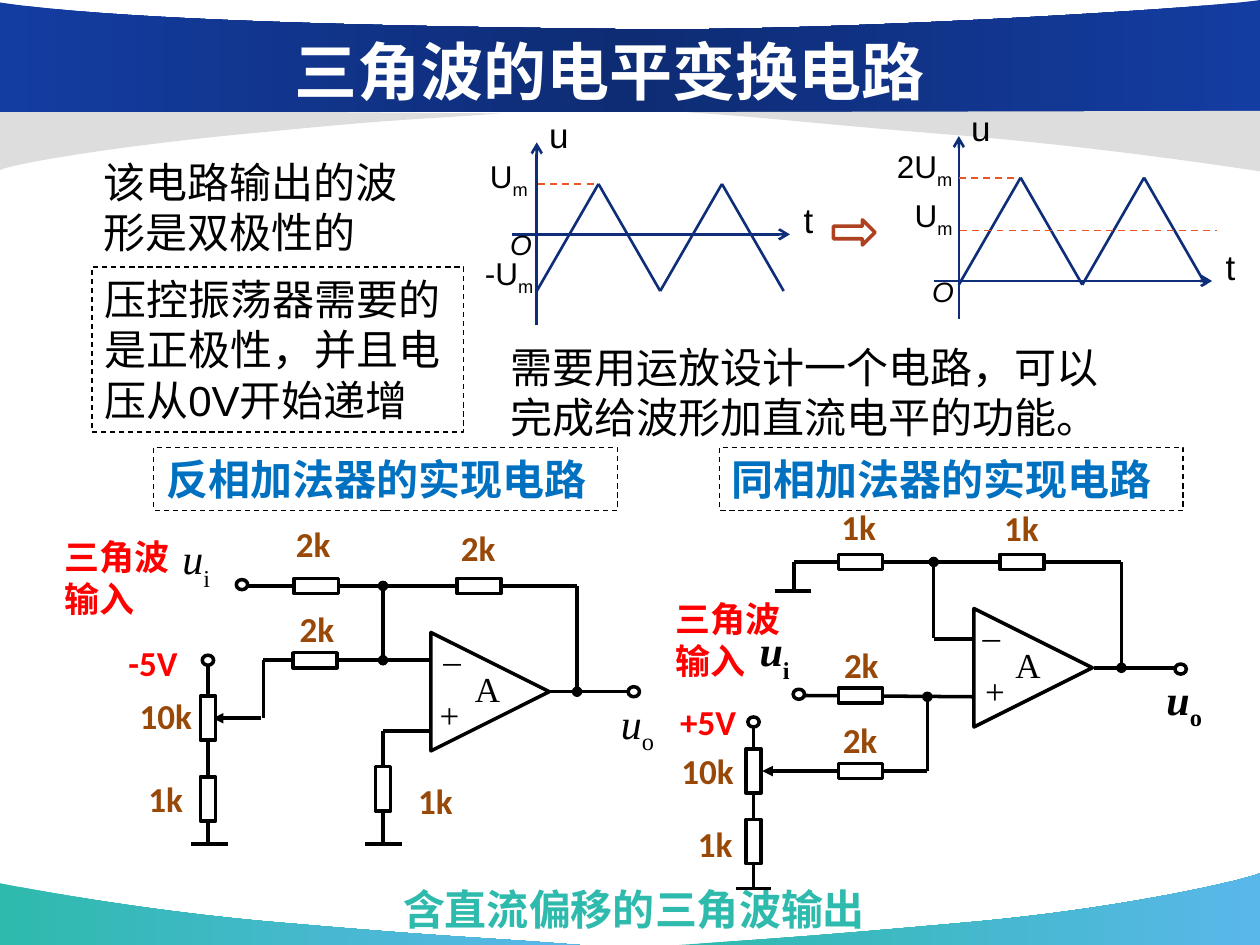
from lxml import etree
from pptx import Presentation
from pptx import util as u
from pptx.dml.color import RGBColor
from pptx.enum import dml, shapes, text
from pptx.oxml.ns import qn

COLORS = {
    "white": "FFFFFF", "black": "000000", "grey": "DDDDDD", "navy": "143DA2",
    "deep": "0E2C74", "teal": "2EBAAD", "sky": "5AB7EA", "axis": "0F2E79",
    "guide": "EB5525", "arrow": "AE4220", "heading": "0070C0", "red": "FF0000",
    "value": "984807",
}
CJK_FONT = "Noto Sans CJK SC"
SERIF = "Times New Roman"


def color(name):
    return RGBColor.from_string(COLORS[name])


def inches(*values):
    return [u.Inches(value) for value in values]


def style_line(line, name, width, dashed=False):
    line.color.rgb = color(name)
    line.width = u.Pt(width)
    if dashed:
        line.dash_style = dml.MSO_LINE.DASH


def style_shape(shape, fill=None, line=None, width=2, dashed=False):
    shape.shadow.inherit = False
    if fill:
        shape.fill.solid()
        shape.fill.fore_color.rgb = color(fill)
    else:
        shape.fill.background()
    if line:
        style_line(shape.line, line, width, dashed)
    else:
        shape.line.fill.background()


def add_line(slide, x1, y1, x2, y2, name="black", width=2, dashed=False, head=None, tail=None):
    line = slide.shapes.add_connector(shapes.MSO_CONNECTOR.STRAIGHT, *inches(x1, y1, x2, y2))
    style_line(line.line, name, width, dashed)
    properties = line._element.spPr
    outline = properties.find(qn("a:ln"))
    for tag, kind in (("a:headEnd", head), ("a:tailEnd", tail)):
        if kind:
            etree.SubElement(outline, qn(tag)).set("type", kind)
    etree.SubElement(properties, qn("a:effectLst"))


def add_outline(slide, points):
    start, *others = [tuple(inches(*point)) for point in points]
    builder = slide.shapes.build_freeform(*start, scale=1.0)
    builder.add_line_segments(others, close=True)
    return builder.convert_to_shape()


def add_band(slide, curve_points, corners, stops):
    """Curved band; curve_points holds a start and three points for each curve."""
    band = add_outline(slide, curve_points + corners)
    segments = band._element.spPr.findall(".//" + qn("a:lnTo"))
    for first in range(0, len(curve_points) - 1, 3):
        bezier = etree.Element(qn("a:cubicBezTo"))
        segments[first].addprevious(bezier)
        for segment in segments[first:first + 3]:
            bezier.append(segment[0])
            segment.getparent().remove(segment)
    style_shape(band, fill=stops[0])
    if len(stops) > 1:
        band.fill.gradient()
        band.fill.gradient_angle = 0
        stop_list = band._element.spPr.find(".//" + qn("a:gsLst"))
        for old_stop in list(stop_list):
            stop_list.remove(old_stop)
        for index, name in enumerate(stops):
            stop = etree.SubElement(stop_list, qn("a:gs"))
            stop.set("pos", str(100000 * index // (len(stops) - 1)))
            etree.SubElement(stop, qn("a:srgbClr")).set("val", COLORS[name])


def write_text(shape, words, size, name="black", font="Arial", bold=False, italic=False,
               sub=None, drop=-25, wrap=True, middle=False, align=text.PP_ALIGN.LEFT, grow=True):
    frame = shape.text_frame
    frame.word_wrap = wrap
    frame.auto_size = text.MSO_AUTO_SIZE.SHAPE_TO_FIT_TEXT if grow else text.MSO_AUTO_SIZE.NONE
    frame.vertical_anchor = text.MSO_ANCHOR.MIDDLE if middle else text.MSO_ANCHOR.TOP
    paragraph = frame.paragraphs[0]
    paragraph.alignment = align
    for content, lowered in ((words, False), (sub, True)):
        if not content:
            continue
        run = paragraph.add_run()
        run.text = content
        run.font.size = u.Pt(size)
        run.font.bold = bold
        run.font.italic = italic and not lowered
        run.font.color.rgb = color(name)
        run.font.name = font
        properties = run._r.get_or_add_rPr()
        etree.SubElement(properties, qn("a:ea")).set("typeface", CJK_FONT)
        if lowered:
            properties.set("baseline", str(drop * 1000))


def add_text(slide, box, words, size, **style):
    write_text(slide.shapes.add_textbox(*inches(*box)), words, size, **style)


def add_dashed_box(slide, box, words, **style):
    shape = slide.shapes.add_shape(shapes.MSO_SHAPE.RECTANGLE, *inches(*box))
    style_shape(shape, line="black", width=0.75, dashed=True)
    write_text(shape, words, 24, **style)


def add_waveform(slide, left, top, axis):
    """Axes with two periods of a triangle wave."""
    add_line(slide, left - 0.2, axis, left + 2.01, axis, "axis", 1.5, tail="arrow")
    add_line(slide, left, top + 1.45, left, top, "axis", 1.5, tail="arrow")
    levels = (top + 1.18, top + 0.33)
    for index in range(4):
        x = left + index * 0.49
        add_line(slide, x, levels[index % 2], x + 0.49, levels[(index + 1) % 2], "axis", 1.5)
    add_text(slide, (left + 2.02, axis - 0.33, 0.3, 0.44), "t", 20)
    add_text(slide, (left, top - 0.28, 0.34, 0.44), "u", 20)
    add_text(slide, (left - 0.31, axis - 0.1, 0.3, 0.37), "O", 16, italic=True)


def add_resistor(slide, x, y, rotation=0):
    shape = slide.shapes.add_shape(shapes.MSO_SHAPE.RECTANGLE, *inches(x - 0.175, y - 0.06, 0.35, 0.12))
    style_shape(shape, "white", "black")
    shape.rotation = rotation


def add_terminal(slide, x, y):
    shape = slide.shapes.add_shape(shapes.MSO_SHAPE.OVAL, *inches(x - 0.045, y - 0.04, 0.09, 0.08))
    style_shape(shape, line="black")


def add_amplifier(slide, x, y, minus_x, plus_x, name_x):
    triangle = add_outline(slide, [(x, y), (x + 0.94, y + 0.47), (x, y + 0.94)])
    style_shape(triangle, "white", "black")
    symbol = {"font": SERIF, "wrap": False}
    add_text(slide, (minus_x, y, 0.34, 0.43), "–", 20, middle=True, **symbol)
    add_text(slide, (plus_x, y + 0.435, 0.36, 0.43), "+", 20, middle=True, **symbol)
    add_text(slide, (name_x, y + 0.23, 0.4, 0.43), "A", 20, **symbol)


def add_circuit(slide, wires, amplifier, level, upright, terminals, values, supply, source, signals, bold):
    for *ends, head, tail in wires:
        add_line(slide, *ends, head=head, tail=tail)
    add_amplifier(slide, *amplifier)
    for x, y in level:
        add_resistor(slide, x, y)
    for x, y in upright:
        add_resistor(slide, x, y, 90)
    for x, y in terminals:
        add_terminal(slide, x, y)
    for x, y, value in values:
        add_text(slide, (x, y, 0.64 if value == "10k" else 0.55, 0.44), value, 20,
                 name="value", font="Calibri", bold=True)
    add_text(slide, (*supply[:2], 0.78, 0.44), supply[2], 20, name="red", font="Calibri", bold=True)
    add_text(slide, (*source, 1.22, 0.77), "三角波输入", 20, name="red", bold=True)
    for (x, y), sub, width, drop in zip(signals, "io", (0.44, 0.5), (-30, -25)):
        add_text(slide, (x, y, width, 0.5), "u", 24, font=SERIF, bold=bold, italic=True,
                 sub=sub, drop=drop, wrap=False)


def main():
    presentation = Presentation()
    presentation.slide_width, presentation.slide_height = inches(10, 7.5)
    slide = presentation.slides.add_slide(presentation.slide_layouts[5])

    # Background bands
    add_band(slide, [(4.6, 7.5), (3.84, 7.44), (3.58, 7.44), (2.32, 7.33), (1.06, 7.23), (0.01, 7.01), (0, 7.01)],
             [(0, 7.5)], ["teal", "sky"])
    add_band(slide, [(5.39, 7.5), (6.14, 7.45), (6.46, 7.43), (7.69, 7.32), (8.92, 7.21), (9.9, 6.98), (10, 6.93)],
             [(10, 7.5)], ["teal", "sky"])
    add_band(slide, [(3.98, 0.9), (3.31, 0.95), (3.18, 0.94), (2.08, 1.05), (0.97, 1.15), (0.09, 1.3), (0, 1.35)],
             [(0, 0.87)], ["grey"])
    add_band(slide, [(10, 0), (9.64, 0.06), (6.53, 0.26), (4.87, 0.23), (3.21, 0.21), (1.01, 0.17), (0, 0.02)],
             [(0, 0.89), (10, 0.89)], ["navy", "deep", "navy"])
    add_band(slide, [(5.44, 0.89), (6.2, 0.94), (6.42, 0.98), (7.68, 1.08), (8.94, 1.19), (9.99, 1.36), (10, 1.36)],
             [(10, 0.88)], ["grey"])

    # Title, raised above the bands
    title = slide.shapes.title
    title.left, title.top, title.width, title.height = inches(0.92, 0.25, 7.83, 0.62)
    write_text(title, "三角波的电平变换电路", 36, name="white", font=CJK_FONT, bold=True,
               middle=True, align=text.PP_ALIGN.CENTER, grow=False)
    slide.shapes._spTree.append(title._element)

    # Explanations and headings
    add_text(slide, (0.72, 1.19, 2.56, 0.91), "该电路输出的波形是双极性的", 24)
    add_dashed_box(slide, (0.73, 2.12, 2.95, 1.31), "压控振荡器需要的是正极性，并且电压从0V开始递增")
    add_text(slide, (3.95, 2.66, 4.95, 0.91), "需要用运放设计一个电路，可以完成给波形加直流电平的功能。", 24)
    add_text(slide, (3.1, 6.96, 4.18, 0.5), "含直流偏移的三角波输出", 24, name="teal", bold=True)
    for left, words in ((1.22, "反相加法器的实现电路"), (5.71, "同相加法器的实现电路")):
        add_dashed_box(slide, (left, 3.55, 3.68, 0.5), words, name="heading", bold=True)

    # Waveforms before and after the level shift
    add_waveform(slide, 4.26, 1.13, 1.86)
    add_waveform(slide, 7.61, 1.08, 2.23)
    for x1, x2, y in ((4.27, 4.75, 1.46), (7.62, 9.66, 1.83), (7.61, 8.09, 1.41)):
        add_line(slide, x1, y, x2, y, "guide", 1, dashed=True)
    for x, y, width, words in ((3.79, 1.2, 0.59, "U"), (3.75, 1.97, 0.74, "-U"),
                               (7.16, 1.51, 0.59, "U"), (7.02, 1.12, 0.74, "2U")):
        add_text(slide, (x, y, width, 0.4), words, 18, sub="m")
    arrow = slide.shapes.add_shape(shapes.MSO_SHAPE.DOWN_ARROW, *inches(6.68, 1.68, 0.2, 0.33))
    style_shape(arrow, line="arrow")
    arrow.rotation = 270

    # Inverting adder
    add_circuit(
        slide,
        wires=[(1.65, 5.28, 1.65, 6.7, None, None), (3.04, 5.8, 3.42, 5.8, None, None),
               (3.04, 5.8, 3.04, 6.7, None, None), (4.36, 5.49, 4.99, 5.49, None, None),
               (2.09, 5.24, 3.43, 5.24, None, None), (3.04, 4.65, 3.04, 5.24, "oval", "oval"),
               (1.97, 4.65, 4.58, 4.65, None, None), (4.58, 4.65, 4.58, 5.49, None, "oval"),
               (3.19, 6.7, 2.9, 6.7, None, None), (2.07, 5.7, 1.69, 5.7, None, "triangle"),
               (1.81, 6.7, 1.52, 6.7, None, None), (2.09, 5.24, 2.09, 5.7, None, None)],
        amplifier=(3.42, 5.02, 3.42, 3.39, 3.67),
        level=[(2.51, 4.65), (3.8, 4.65), (2.5, 5.24)],
        upright=[(3.04, 6.26), (1.65, 5.7), (1.65, 6.34)],
        terminals=[(1.92, 4.64), (1.65, 5.24), (5.03, 5.49)],
        values=[(2.25, 4.1, "2k"), (3.56, 4.13, "2k"), (2.28, 4.77, "2k"),
                (3.22, 6.14, "1k"), (1.08, 6.12, "1k"), (1.01, 5.46, "10k")],
        supply=(0.92, 5.04, "-5V"), source=(0.41, 4.2),
        signals=[(1.35, 4.18), (4.83, 5.49)], bold=False)

    # Non-inverting adder
    add_circuit(
        slide,
        wires=[(5.98, 5.77, 5.98, 7.04, None, None), (7.41, 5.07, 7.79, 5.07, None, None),
               (8.68, 5.3, 9.32, 5.3, None, None), (6.38, 5.52, 7.74, 5.53, None, None),
               (7.41, 4.46, 7.41, 5.06, "oval", None), (6.3, 4.46, 8.9, 4.46, None, None),
               (8.9, 4.46, 8.9, 5.3, None, "oval"), (6.44, 4.69, 6.15, 4.69, None, None),
               (6.12, 7.05, 5.84, 7.05, None, None), (6.3, 4.46, 6.3, 4.69, None, None),
               (6.05, 6.12, 7.36, 6.12, "triangle", None), (7.36, 5.53, 7.36, 6.12, "oval", None)],
        amplifier=(7.73, 4.83, 7.7, 7.72, 7.96),
        level=[(6.83, 4.46), (8.11, 4.46), (6.83, 5.52), (6.83, 6.12)],
        upright=[(5.98, 6.12), (5.98, 6.68)],
        terminals=[(6.34, 5.51), (5.98, 5.73), (9.37, 5.31)],
        values=[(6.58, 3.96, "1k"), (7.87, 3.97, "1k"), (6.6, 5.06, "2k"),
                (6.59, 5.65, "2k"), (5.44, 6.48, "1k"), (5.31, 5.9, "10k")],
        supply=(5.3, 5.51, "+5V"), source=(5.26, 4.69),
        signals=[(5.93, 4.91), (9.16, 5.3)], bold=True)

    presentation.save("out.pptx")


if __name__ == "__main__":
    main()
